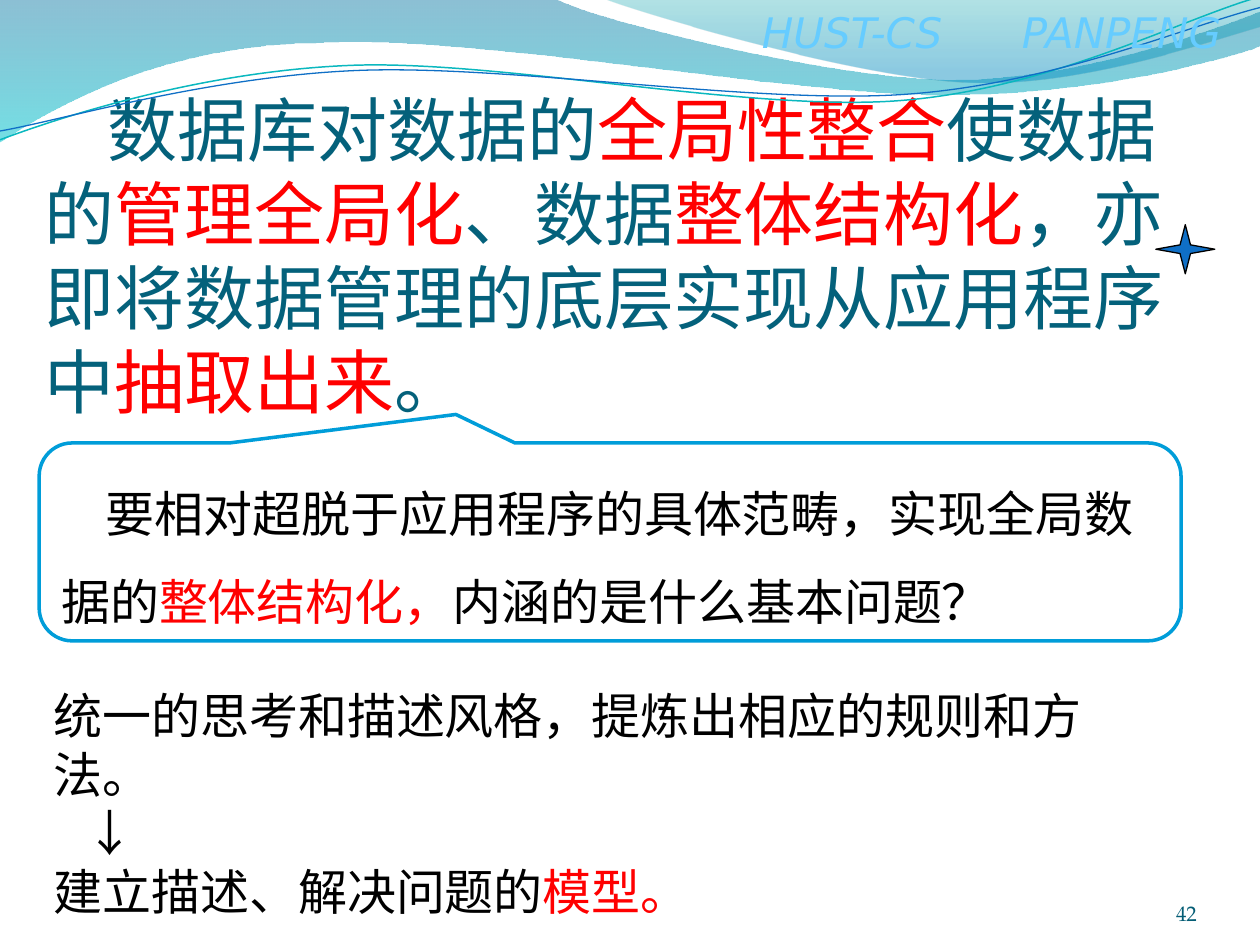
from lxml import etree
from pptx import Presentation
from pptx.dml.color import RGBColor
from pptx.enum.shapes import MSO_SHAPE
from pptx.enum.text import MSO_ANCHOR, PP_ALIGN
from pptx.oxml.ns import qn
from pptx.util import Cm, Pt

INCH = 2.54
TEAL = RGBColor(0x04, 0x61, 0x7B)
RED = RGBColor(0xFF, 0x00, 0x00)
BLACK = RGBColor(0x00, 0x00, 0x00)
WHITE = RGBColor(0xFF, 0xFF, 0xFF)
SKY = RGBColor(0x66, 0xCC, 0xFF)
BLUE = RGBColor(0x0F, 0x6F, 0xC6)
CYAN = RGBColor(0x0A, 0xB8, 0xBF)
CALLOUT_BLUE = RGBColor(0x00, 0x9D, 0xD9)
NUMBER_TEAL = RGBColor(0x04, 0x5D, 0x75)
BAND_BLUE = RGBColor(0x00, 0x74, 0xA1)
BAND_AQUA = RGBColor(0x00, 0xC6, 0xCF)
CREST_TEAL = RGBColor(0x00, 0xA1, 0xA9)
CREST_BLUE = RGBColor(0x00, 0x8B, 0xBF)

presentation = Presentation()
presentation.slide_width, presentation.slide_height = Cm(25.4), Cm(19.05)
slide = presentation.slides.add_slide(presentation.slide_layouts[5])
shapes = slide.shapes


def draw_wave(segments, closed):
    points = [(Cm(x * INCH), Cm(y * INCH))
              for segment in segments for x, y in zip(segment[::2], segment[1::2])]
    builder = shapes.build_freeform(*points[0])
    builder.add_line_segments(points[1:], close=closed)
    wave = builder.convert_to_shape()
    wave.shadow.inherit = False
    lines = wave._element.spPr.iter(qn("a:lnTo"))
    edges = iter(list(lines))
    for segment in segments[1:]:
        edge = next(edges)
        if len(segment) == 6:
            edge.addprevious(curve := etree.Element(qn("a:cubicBezTo")))
            for piece in (edge, next(edges), next(edges)):
                curve.append(piece[0])
                piece.getparent().remove(piece)
    return wave


def write(frame, paragraphs, size, font, indent=0, margins=None):
    frame.word_wrap = True
    for side, margin in (margins or {}).items():
        setattr(frame, f"margin_{side}", Cm(margin))
    for index, runs in enumerate(paragraphs):
        paragraph = frame.paragraphs[0] if index == 0 else frame.add_paragraph()
        paragraph.alignment = PP_ALIGN.LEFT
        if indent:
            properties = paragraph._p.get_or_add_pPr()
            properties.set("marL", "0")
            properties.set("indent", str(Cm(indent)))
        for text, color in runs:
            run = paragraph.add_run()
            run.text = text
            format_values = {"size": Pt(size), "name": font}
            for name, value in format_values.items():
                setattr(run.font, name, value)
            run.font.color.rgb = color


bands = [
    ([(0, -0.01), (4.4, -0.01), (4.76, 0.17, 6.64, 0.63, 7.58, 0.63),
      (8.53, 0.63, 9.58, 0.26, 10, 0.09), (10.01, 0.36),
      (9.83, 0.44, 8.7, 0.76, 7.46, 0.75), (6.22, 0.75, 3.82, 0.28, 2.57, 0.34),
      (1.29, 0.35, 0.46, 0.83, -0.01, 1.13), (0, -0.01)],
     [(0, BAND_BLUE, 45), (1, BAND_AQUA, 55)]),
    ([(4.79, -0.01), (5.09, 0.11, 6.82, 0.62, 7.69, 0.65),
      (8.56, 0.69, 9.61, 0.32, 10, 0.21), (10, 0), (4.79, -0.01)],
     [(0, CREST_TEAL, 30), (0.8, CREST_BLUE, 45)]),
]
for outline, stops in bands:
    band = draw_wave(outline, True)
    band.line.fill.background()
    band.fill.gradient()
    band.fill.gradient_angle = 270
    for stop, (position, color, opacity) in zip(band.fill.gradient_stops, stops):
        stop.position = position
        stop.color.rgb = color
    colors = band._element.spPr.iter(qn("a:srgbClr"))
    for color_element, (position, color, opacity) in zip(colors, stops):
        etree.SubElement(color_element, qn("a:alpha")).set("val", str(opacity * 1000))

strands = [
    ([(0, 1.11), (0.48, 0.93, 1.58, 0.57, 2.77, 0.52),
      (3.95, 0.47, 5.93, 0.89, 7.13, 0.8), (8.33, 0.71, 9.38, 0.15, 9.98, -0.02)],
     CYAN, 0.85),
    ([(0, 1.04), (0.47, 0.96, 1.64, 0.61, 2.83, 0.56),
      (4.03, 0.51, 5.97, 0.83, 7.17, 0.75), (8.36, 0.67, 9.41, 0.21, 10, 0.06)],
     BLUE, 0.75),
]
for outline, color, width in strands:
    strand = draw_wave(outline, False)
    strand.fill.background()
    strand.line.color.rgb = color
    strand.line.width = Pt(width)

header = shapes.add_textbox(Cm(15.11), Cm(0), Cm(10.29), Cm(1.3)).text_frame
tabs = etree.SubElement(header.paragraphs[0]._p.get_or_add_pPr(), qn("a:tabLst"))
etree.SubElement(tabs, qn("a:tab"), pos=str(Cm(5.24)), algn="l")
write(header, [[("HUST-CS\tPANPENG", SKY)]], 24, "DejaVu Sans")
header.paragraphs[0].runs[0].font.italic = True

title = shapes.title
title_box = {"left": Cm(0.9), "top": Cm(2.44), "width": Cm(22.68), "height": Cm(6.07)}
for name, value in title_box.items():
    setattr(title, name, value)
title.text_frame.vertical_anchor = MSO_ANCHOR.BOTTOM
write(title.text_frame, [[
    ("数据库对数据的", TEAL), ("全局性整合", RED), ("使数据的", TEAL),
    ("管理全局化", RED), ("、数据", TEAL), ("整体结构化", RED),
    ("，亦即将数据管理的底层实现从应用程序中", TEAL), ("抽取出来", RED), ("。", TEAL),
]], 40, "Calibri", 1.27, {"left": 0, "top": 0.13, "right": 0, "bottom": 0})

number = shapes.add_textbox(Cm(22.02), Cm(17.65), Cm(2.11), Cm(1.02)).text_frame
number.vertical_anchor = MSO_ANCHOR.BOTTOM
write(number, [[("42", NUMBER_TEAL)]], 12, "TeX Gyre Pagella",
      margins=dict.fromkeys(("left", "top", "right", "bottom"), 0))
number.paragraphs[0].alignment = PP_ALIGN.RIGHT

answer = shapes.add_textbox(Cm(0.83), Cm(13.69), Cm(22.61), Cm(3.84)).text_frame
write(answer, [
    [("统一的思考和描述风格，提炼出相应的规则和方法。", BLACK)],
    [("↓", BLACK)],
    [("建立描述、解决问题的", BLACK), ("模型。", RED)],
], 28, "DejaVu Sans", margins={"right": 1.25})
arrow = answer.paragraphs[1]
arrow._p.get_or_add_pPr().set("indent", str(Cm(0.65)))
arrow.runs[0].font.name = "Noto Sans CJK SC"

star = shapes.add_shape(MSO_SHAPE.STAR_4_POINT, Cm(23.3), Cm(4.53), Cm(1.19), Cm(0.99))
callout = shapes.add_shape(MSO_SHAPE.ROUNDED_RECTANGULAR_CALLOUT,
                           Cm(0.79), Cm(8.93), Cm(23.02), Cm(3.99))
for shape, adjustments, fill, line, width in (
    (star, [0.125], BLUE, BLACK, 0.75),
    (callout, [-0.135, -0.644, 0.167], WHITE, CALLOUT_BLUE, 2),
):
    for index, adjustment in enumerate(adjustments):
        shape.adjustments[index] = adjustment
    shape.shadow.inherit = False
    shape.fill.solid()
    shape.fill.fore_color.rgb = fill
    shape.line.color.rgb = line
    shape.line.width = Pt(width)

question = callout.text_frame
question.vertical_anchor = MSO_ANCHOR.MIDDLE
write(question, [[
    ("要相对超脱于应用程序的具体范畴，实现全局数据的", BLACK),
    ("整体结构化，", RED), ("内涵的是什么基本问题？", BLACK),
]], 28, "Noto Sans CJK SC", 0.9)
question.paragraphs[0].line_spacing = 1.5

presentation.save("out.pptx")
